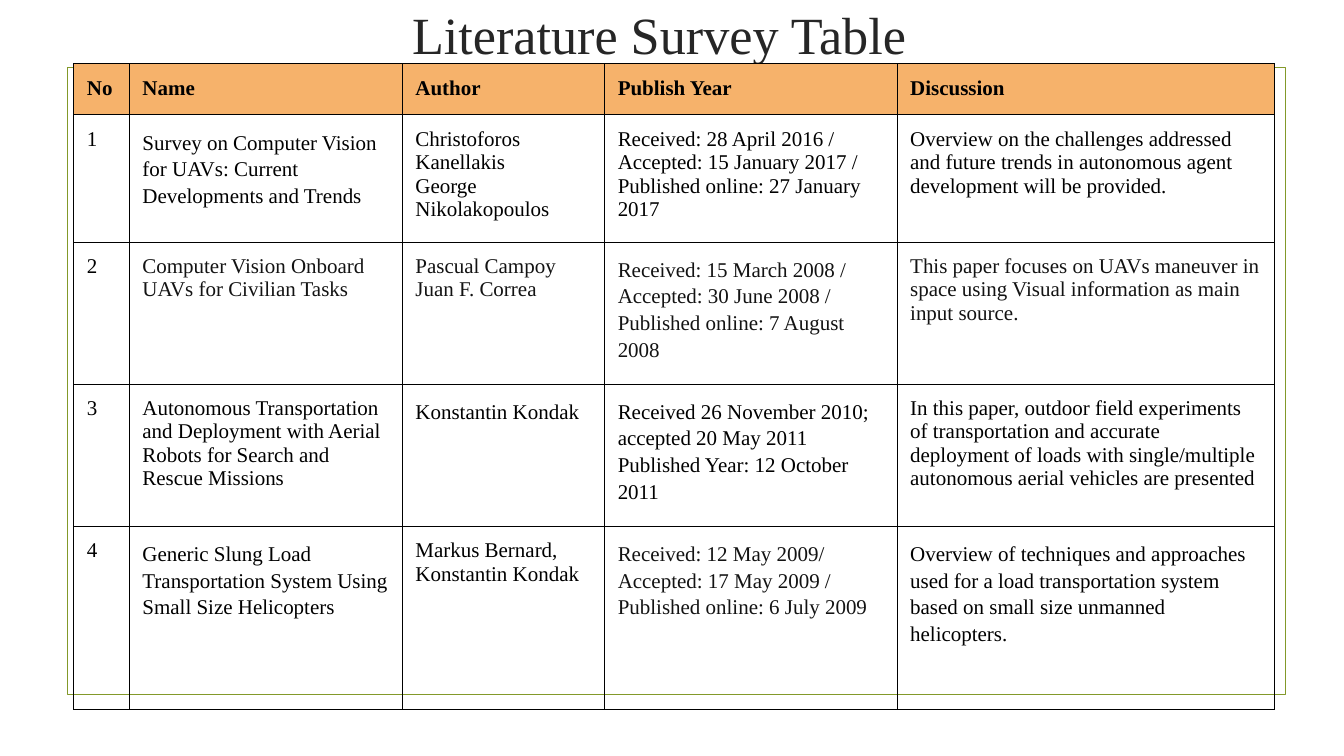
import pptx
import pptx.dml.color
import pptx.enum.shapes
import pptx.enum.text
import pptx.oxml
import pptx.oxml.ns
import pptx.util
from pptx.util import Cm

BLACK = pptx.dml.color.RGBColor(0x00, 0x00, 0x00)
INK = pptx.dml.color.RGBColor(0x13, 0x13, 0x13)
TITLE_GREY = pptx.dml.color.RGBColor(0x26, 0x26, 0x26)
OLIVE = pptx.dml.color.RGBColor(0x83, 0x99, 0x2A)
ORANGE = pptx.dml.color.RGBColor(0xF6, 0xB2, 0x6B)

COLUMN_WIDTHS = [1.4, 6.88, 5.1, 7.37, 9.5]
ROW_HEIGHTS = [1.26, 3.02, 3.35, 3.5, 4.61]
SURVEY = [
    ["No", "Name", "Author", "Publish Year", "Discussion"],
    ["1",
     "Survey on Computer Vision for UAVs: Current Developments and Trends",
     "Christoforos Kanellakis\nGeorge Nikolakopoulos",
     "Received: 28 April 2016 / Accepted: 15 January 2017 / Published online: 27 January 2017",
     "Overview on the challenges addressed and future trends in autonomous agent "
     "development will be provided."],
    ["2",
     "Computer Vision Onboard UAVs for Civilian Tasks",
     "Pascual Campoy\nJuan F. Correa",
     "Received: 15 March 2008 / Accepted: 30 June 2008 / Published online: 7 August 2008",
     "This paper focuses on UAVs maneuver in space using Visual information as main "
     "input source."],
    ["3",
     "Autonomous Transportation and Deployment with Aerial Robots for Search and "
     "Rescue Missions",
     "Konstantin Kondak",
     "Received 26 November 2010; accepted 20 May 2011\nPublished Year: 12 October 2011",
     "In this paper, outdoor field experiments of transportation and accurate deployment "
     "of loads with single/multiple autonomous aerial vehicles are presented"],
    ["4",
     "Generic Slung Load Transportation System Using Small Size Helicopters",
     "Markus Bernard, Konstantin Kondak",
     "Received: 12 May 2009/ Accepted: 17 May 2009 / Published online: 6 July 2009",
     "Overview of techniques and approaches used for a load transportation system based "
     "on small size unmanned helicopters."],
]
LOOSE_CELLS = {(1, 1), (2, 3), (3, 2), (3, 3), (4, 1), (4, 3), (4, 4)}
INK_CELLS = {(2, 1), (2, 2), (2, 3), (2, 4), (4, 3)}


class SlideBuilder:
    """Holds the text style and the current slide, and adds elements to it."""

    font_name = "Times New Roman"
    inset = Cm(0.33)

    def __init__(self, slide):
        self.slide = slide

    def style(self, paragraph, size, color, bold=False):
        font = paragraph.font
        font.name, font.size, font.bold = self.font_name, pptx.util.Pt(size), bold
        font.color.rgb = color

    def frame(self, left, top, width, height):
        shape = self.slide.shapes.add_shape(
            pptx.enum.shapes.MSO_SHAPE.RECTANGLE, Cm(left), Cm(top), Cm(width), Cm(height))
        shape.shadow.inherit = False
        shape.fill.background()
        shape.line.color.rgb = OLIVE
        shape.line.width = pptx.util.Pt(1.25)

    def title(self, text, left, top, width, height):
        box = self.slide.shapes.add_textbox(Cm(left), Cm(top), Cm(width), Cm(height))
        text_frame = box.text_frame
        text_frame.word_wrap = True
        text_frame.vertical_anchor = pptx.enum.text.MSO_ANCHOR.MIDDLE
        text_frame.text = text
        paragraph = text_frame.paragraphs[0]
        paragraph.alignment = pptx.enum.text.PP_ALIGN.CENTER
        self.style(paragraph, 37.3, TITLE_GREY)

    def borders(self, cell):
        properties = cell._tc.get_or_add_tcPr()
        for side in ("lnL", "lnR", "lnT", "lnB"):
            properties.append(pptx.oxml.parse_xml(
                f'<a:{side} {pptx.oxml.ns.nsdecls("a")} w="9525"><a:solidFill>'
                f'<a:srgbClr val="{BLACK}"/></a:solidFill></a:{side}>'))

    def cell(self, cell, text, color, header, loose):
        self.borders(cell)
        cell.margin_left = cell.margin_right = self.inset
        cell.margin_top = cell.margin_bottom = self.inset
        if header:
            cell.fill.solid()
            cell.fill.fore_color.rgb = ORANGE
        else:
            cell.fill.background()
        cell.text = text
        for paragraph in cell.text_frame.paragraphs:
            self.style(paragraph, 15, color, header)
            if loose:
                paragraph.line_spacing = 1.15

    def table(self, rows, left, top, widths, heights):
        table = self.slide.shapes.add_table(
            len(rows), len(widths), Cm(left), Cm(top),
            Cm(sum(widths)), Cm(sum(heights))).table
        table.first_row = table.horz_banding = False
        for column, width in zip(table.columns, widths):
            column.width = Cm(width)
        for row, height in zip(table.rows, heights):
            row.height = Cm(height)
        for i, texts in enumerate(rows):
            for j, text in enumerate(texts):
                color = INK if (i, j) in INK_CELLS else BLACK
                self.cell(table.cell(i, j), text, color, i == 0, (i, j) in LOOSE_CELLS)


def main():
    presentation = pptx.Presentation()
    presentation.slide_width = Cm(33.87)
    presentation.slide_height = Cm(19.05)
    builder = SlideBuilder(presentation.slides.add_slide(presentation.slide_layouts[6]))
    builder.frame(1.7, 1.7, 30.7, 15.8)
    builder.title("Literature Survey Table", 9.73, -0.45, 13.77, 2.6)
    builder.table(SURVEY, 1.86, 1.6, COLUMN_WIDTHS, ROW_HEIGHTS)
    presentation.save("out.pptx")


if __name__ == "__main__":
    main()
